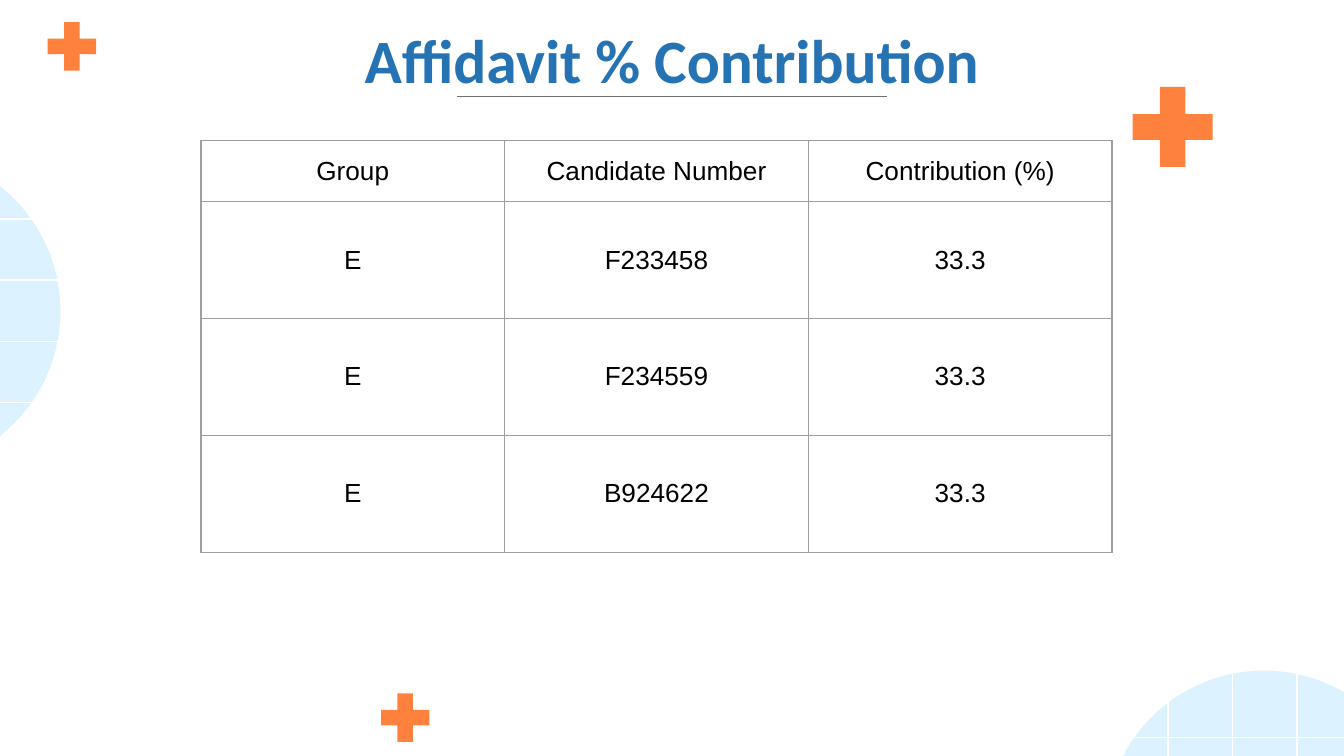
from collections import namedtuple
from dataclasses import dataclass

from pptx import Presentation
from pptx.dml.color import RGBColor as Rgb
from pptx.enum.shapes import MSO_CONNECTOR as Connector, MSO_SHAPE as Shape
from pptx.enum.text import MSO_ANCHOR as Anchor, PP_ALIGN as Align
from pptx.oxml.ns import qn
from pptx.util import Emu, Pt
from lxml.etree import SubElement

Box = namedtuple("Box", "left top width height")


@dataclass(frozen=True)
class Theme:
    plus: str = "FE823D"
    disc: str = "DCF3FF"
    grid: str = "FFFFFF"
    rule: str = "717070"
    title: str = "2573B3"
    text: str = "000000"
    border: str = "9E9E9E"
    title_font: str = "Calibri"
    body_font: str = "Arial"
    title_size: int = 33
    body_size: int = 14
    line_width: float = 0.75


THEME = Theme()
ROWS = [
    ("Group", "Candidate Number", "Contribution (%)"),
    ("E", "F233458", "33.3"),
    ("E", "F234559", "33.3"),
    ("E", "B924622", "33.3"),
]


def px(count):
    """200 px to the inch."""
    return Emu(count * 4572)


def emu(box):
    return [px(length) for length in box]


def add_solid(shapes, kind, box, color):
    shape = shapes.add_shape(kind, *emu(box))
    shape.shadow.inherit = False
    shape.fill.solid()
    shape.fill.fore_color.rgb = Rgb.from_string(color)
    shape.line.fill.background()
    return shape


def add_line(shapes, start, end, color):
    line = shapes.add_connector(Connector.STRAIGHT, *emu(start + end))
    line.line.color.rgb = Rgb.from_string(color)
    line.line.width = Pt(THEME.line_width)
    SubElement(line._element.spPr, qn("a:effectLst"))


def add_span(para, text, font, size, color, bold=False):
    para.alignment = Align.CENTER
    span = para.add_run()
    span.text = text
    span.font.name = font
    span.font.size = Pt(size)
    span.font.bold = bold
    span.font.color.rgb = Rgb.from_string(color)


def add_plus(page, box):
    plus = add_solid(page.shapes, Shape.MATH_PLUS, box, THEME.plus)
    plus.adjustments[0] = 0.235


def add_grid_disc(page, box, columns=(), rows=()):
    """Disc crossed by grid lines at offsets from its left and top."""
    shapes = page.shapes.add_group_shape().shapes
    add_solid(shapes, Shape.OVAL, box, THEME.disc)
    right, bottom = box.left + box.width, box.top + box.height
    for offset in columns:
        x = box.left + offset
        add_line(shapes, (x, box.top), (x, bottom), THEME.grid)
    for offset in rows:
        y = box.top + offset
        add_line(shapes, (box.left, y), (right, y), THEME.grid)


def add_title(page, box, text):
    # Rule under the title
    middle, y = box.left + box.width // 2, box.top + 132
    add_line(page.shapes, (middle - 320, y), (middle + 320, y), THEME.rule)

    # Title text
    frame = page.shapes.add_textbox(*emu(box)).text_frame
    frame.word_wrap = True
    frame.vertical_anchor = Anchor.TOP
    frame.margin_left = frame.margin_right = px(20)
    frame.margin_top = frame.margin_bottom = px(20)
    add_span(frame.paragraphs[0], text, THEME.title_font, THEME.title_size,
             THEME.title, bold=True)


def add_borders(cell):
    properties = cell._tc.get_or_add_tcPr()
    for position, side in enumerate(("lnL", "lnR", "lnT", "lnB")):
        edge = properties.makeelement(
            qn(f"a:{side}"), {"w": str(Pt(THEME.line_width))})
        fill = SubElement(edge, qn("a:solidFill"))
        SubElement(fill, qn("a:srgbClr"), val=THEME.border)
        properties.insert(position, edge)


def add_contributions(page, box, rows, header_height):
    table = page.shapes.add_table(len(rows), len(rows[0]), *emu(box)).table
    table.first_row = table.horz_banding = False
    for column in table.columns:
        column.width = px(box.width // len(rows[0]))
    row_height = (box.height - header_height) // (len(rows) - 1)
    for index, values in enumerate(rows):
        table.rows[index].height = px(row_height if index else header_height)
        for cell, value in zip(table.rows[index].cells, values):
            cell.fill.background()
            cell.vertical_anchor = Anchor.MIDDLE
            add_borders(cell)
            add_span(cell.text_frame.paragraphs[0], value, THEME.body_font,
                     THEME.body_size, THEME.text)


def main():
    deck = Presentation()
    deck.slide_width, deck.slide_height = px(2000), px(1125)
    page = deck.slides.add_slide(deck.slide_layouts[6])

    # Background decoration
    add_plus(page, Box(58, 20, 98, 98))
    add_plus(page, Box(554, 1019, 98, 98))
    add_grid_disc(page, Box(1644, 998, 474, 474),
                  columns=range(94, 287, 96), rows=[100])
    add_grid_disc(page, Box(-384, 226, 474, 474), rows=range(100, 374, 91))
    add_plus(page, Box(1664, 108, 162, 162))

    # Content
    add_title(page, Box(157, 12, 1686, 126), "Affidavit % Contribution")
    add_contributions(page, Box(299, 209, 1356, 613), ROWS, header_height=91)

    deck.save("out.pptx")


if __name__ == "__main__":
    main()
